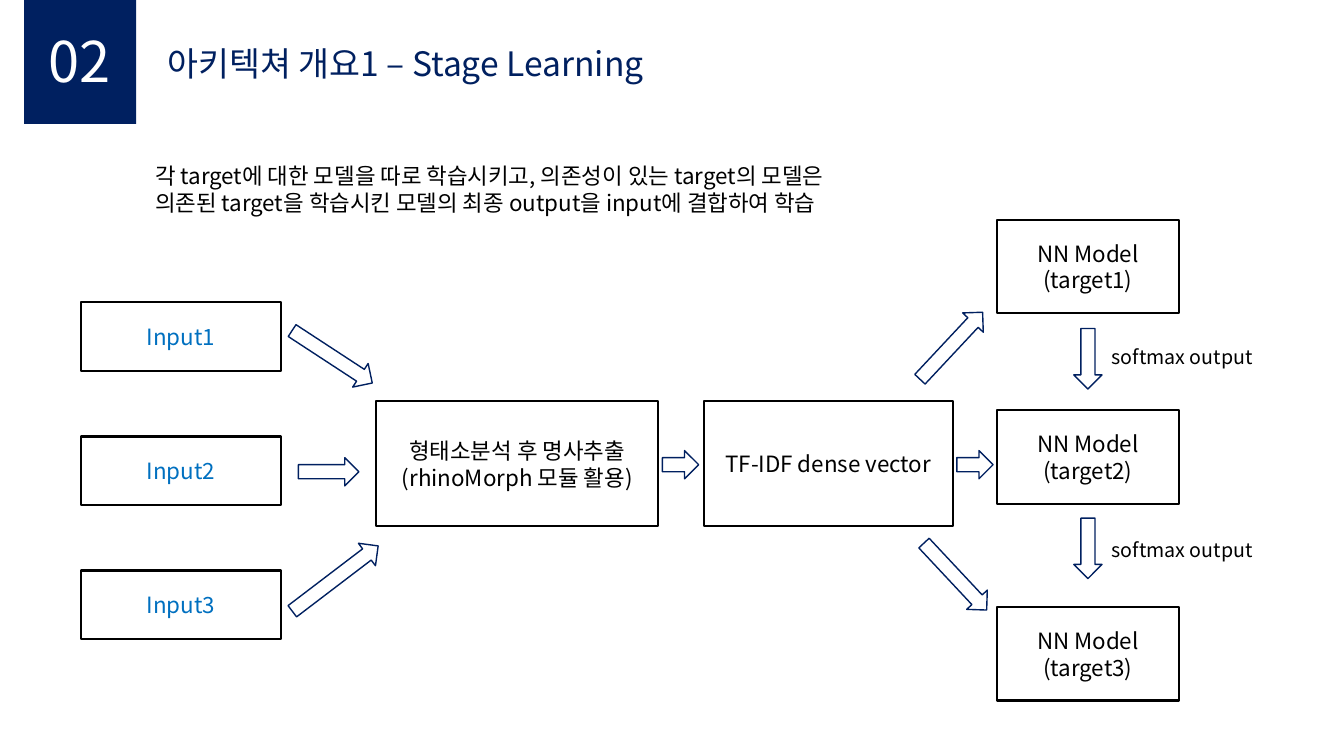
from dataclasses import dataclass

from lxml.etree import SubElement
from pptx import Presentation
from pptx.dml.color import RGBColor
from pptx.enum.shapes import MSO_SHAPE
from pptx.enum.text import MSO_ANCHOR, MSO_AUTO_SIZE, PP_ALIGN
from pptx.oxml.ns import qn
from pptx.util import Inches, Pt

FONT = "Noto Sans CJK KR"
NAVY, BLUE, BLACK, WHITE = "002060", "0070C0", "000000", "FFFFFF"


@dataclass
class Box:
    left: float
    top: float
    width: float
    height: float
    text: str
    color: str = BLACK


@dataclass
class Arrow:
    left: float
    top: float
    width: float
    turn: float = 0


def paint(target, color: str) -> None:
    """Give a fill or a font one solid colour."""
    if hasattr(target, "solid"):
        target.solid()
        target.fore_color.rgb = RGBColor.from_string(color)
    else:
        target.color.rgb = RGBColor.from_string(color)


def place(shape, left: float, top: float, width: float, height: float) -> None:
    shape.left, shape.top = Inches(left), Inches(top)
    shape.width, shape.height = Inches(width), Inches(height)


def write(shape, text: str, *, size: float = 16, color: str = BLACK,
          align=PP_ALIGN.LEFT, anchor=MSO_ANCHOR.TOP, grow: bool = False) -> None:
    frame = shape.text_frame
    frame.word_wrap = True
    frame.vertical_anchor = anchor
    frame.auto_size = MSO_AUTO_SIZE.SHAPE_TO_FIT_TEXT if grow else MSO_AUTO_SIZE.NONE
    frame.text = text
    for para in frame.paragraphs:
        para.alignment = align
        for run in para.runs:
            font = run.font
            font.size, font.name = Pt(size), FONT
            paint(font, color)
            # East Asian letters take the same face
            SubElement(run._r.get_or_add_rPr(), qn("a:ea"), typeface=FONT)


def label(slide, left: float, top: float, width: float, height: float,
          text: str, **style) -> None:
    box = slide.shapes.add_textbox(0, 0, 0, 0)
    write(box, text, grow=True, **style)
    place(box, left, top, width, height)


def outline(slide, kind, color: str, weight: float):
    shape = slide.shapes.add_shape(kind, 0, 0, 0, 0)
    shape.shadow.inherit = False
    shape.fill.background()
    paint(shape.line.fill, color)
    shape.line.width = Pt(weight)
    return shape


def draw_box(slide, box: Box) -> None:
    shape = outline(slide, MSO_SHAPE.RECTANGLE, BLACK, 1.5)
    place(shape, box.left, box.top, box.width, box.height)
    write(shape, box.text, color=box.color, align=PP_ALIGN.CENTER,
          anchor=MSO_ANCHOR.MIDDLE)


def draw_arrow(slide, arrow: Arrow) -> None:
    shape = outline(slide, MSO_SHAPE.RIGHT_ARROW, NAVY, 1)
    place(shape, arrow.left, arrow.top, arrow.width, 0.28)
    shape.rotation = arrow.turn


def main() -> None:
    deck = Presentation()
    deck.slide_width, deck.slide_height = Inches(13.33), Inches(7.5)
    slide = deck.slides.add_slide(deck.slide_layouts[5])

    # Heading
    title = slide.shapes.title
    place(title, 1.56, 0.38, 5.27, 0.5)
    write(title, "아키텍쳐 개요1 – Stage Learning", size=24, color=NAVY, grow=True)
    badge = outline(slide, MSO_SHAPE.RECTANGLE, NAVY, 1)
    place(badge, 0.24, 0, 1.11, 1.23)
    paint(badge.fill, NAVY)
    badge.line.fill.background()
    label(slide, 0.38, 0.21, 0.96, 0.77, "02", size=40, color=WHITE)

    # Summary
    label(slide, 1.44, 1.56, 7.87, 0.64,
          "각 target에 대한 모델을 따로 학습시키고, 의존성이 있는 target의 모델은\n"
          "의존된 target을 학습시킨 모델의 최종 output을 input에 결합하여 학습")

    # Boxes of the flow
    inputs = [Box(0.8, 3 + 1.33 * i, 1.99, 0.68, f"Input{i + 1}", BLUE)
              for i in range(3)]
    steps = [Box(3.73, 3.98, 2.8, 1.24, "형태소분석 후 명사추출\n(rhinoMorph 모듈 활용)"),
             Box(6.98, 3.98, 2.47, 1.24, "TF-IDF dense vector")]
    models = [Box(9.89, top, 1.8, 0.93, f"NN Model\n(target{i})")
              for i, top in enumerate((2.18, 4.07, 6.02), 1)]
    for box in inputs + steps + models:
        draw_box(slide, box)

    # Arrows: inputs, steps, then models
    arrows = [
        Arrow(2.82, 3.4, 0.95, 33.2), Arrow(2.96, 4.54, 0.6),
        Arrow(2.79, 5.6, 1.07, 322.7),
        Arrow(6.57, 4.47, 0.36), Arrow(9.49, 4.47, 0.36),
        Arrow(8.98, 3.29, 0.91, 313.1), Arrow(9.02, 5.58, 0.91, 46.9),
        Arrow(10.49, 3.42, 0.6, 90), Arrow(10.49, 5.3, 0.6, 90),
    ]
    for arrow in arrows:
        draw_arrow(slide, arrow)

    # Links between models
    for top in (3.37, 5.29):
        label(slide, 10.65, top, 2.15, 0.34, "softmax output", size=14,
              align=PP_ALIGN.CENTER)

    deck.save("out.pptx")


if __name__ == "__main__":
    main()
